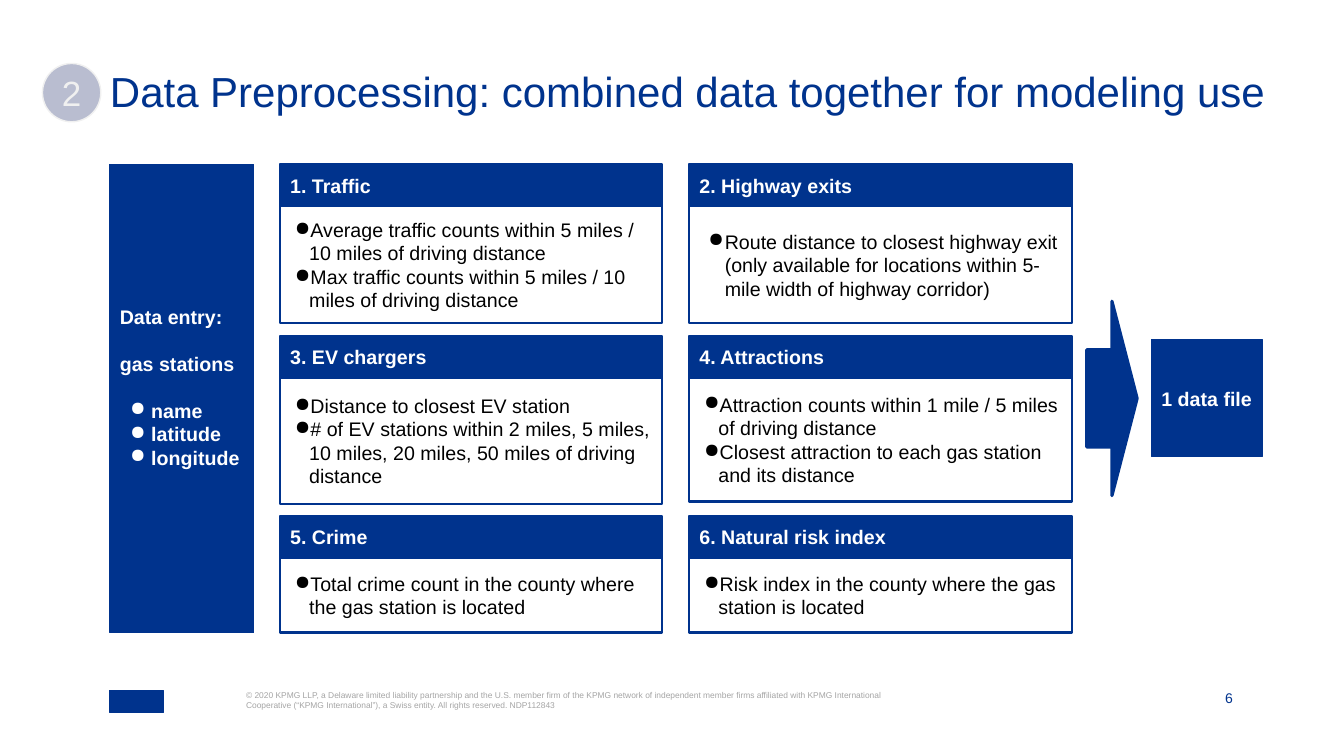
from lxml.etree import SubElement
from pptx import Presentation
from pptx.dml.color import RGBColor
from pptx.enum.shapes import MSO_SHAPE
from pptx.enum.text import MSO_ANCHOR, MSO_AUTO_SIZE, PP_ALIGN
from pptx.oxml.ns import qn
from pptx.util import Cm, Pt

COLORS = {"blue": "00338D", "white": "FFFFFF", "black": "000000",
          "grey": "A5A5A5", "disc": "B9BDD0", "pale": "F0F0F0"}
INSET = 0.25
SIDES = ("left", "top", "right", "bottom")


def rgb(name):
    return RGBColor.from_string(COLORS[name])


def set_values(target, values):
    for name, value in values.items():
        setattr(target, name, value)


class SlideBuilder:
    """Holds the text style and the slide being built."""

    def __init__(self, deck):
        self.slide = deck.slides.add_slide(deck.slide_layouts[5])
        self.font = {"name": "Arial", "size": Pt(14), "bold": False}

    def frame(self, shape, insets, anchor=MSO_ANCHOR.MIDDLE):
        frame = shape.text_frame
        margins = {f"margin_{side}": Cm(inset)
                   for side, inset in zip(SIDES, insets)}
        set_values(frame, {"word_wrap": True, "auto_size": MSO_AUTO_SIZE.NONE,
                           "vertical_anchor": anchor, **margins})
        return frame

    def fill_text(self, frame, lines, color, align=PP_ALIGN.LEFT, bullet=None,
                  first=0, gaps=(), spacing=None, **font):
        """Set the lines; those from index first on get bullets if asked."""
        for i, line in enumerate(lines):
            paragraph = frame.paragraphs[0] if i == 0 else frame.add_paragraph()
            if bullet and i >= first:
                self.add_bullet(paragraph, color, *bullet)
            paragraph.text = line
            before = Pt(16.5) if i in gaps else Pt(0)
            set_values(paragraph, {"alignment": align, "space_before": before,
                                   "line_spacing": spacing})
            set_values(paragraph.font, {**self.font, **font})
            paragraph.font.color.rgb = rgb(color)

    def add_bullet(self, paragraph, color, left, hanging):
        props = paragraph._p.get_or_add_pPr()
        props.set("marL", str(Cm(left)))
        props.set("indent", str(-Cm(hanging)))
        tint = SubElement(props, qn("a:buClr"))
        SubElement(tint, qn("a:srgbClr")).set("val", COLORS[color])
        SubElement(props, qn("a:buChar")).set("char", "●")

    def title(self, text, box):
        title = self.slide.shapes.title
        set_values(title, dict(zip(("left", "top", "width", "height"),
                                   map(Cm, box))))
        self.fill_text(self.frame(title, [0] * 4), [text], "blue",
                       spacing=0.9, size=Pt(30))

    def label(self, text, box, color, anchor, **style):
        label = self.slide.shapes.add_textbox(*map(Cm, box))
        self.fill_text(self.frame(label, [0] * 4, anchor), [text], color,
                       **style)

    def shape(self, kind, box, fill, line, weight, lines=(), color="white",
              bottom=INSET, **style):
        shape = self.slide.shapes.add_shape(kind, *map(Cm, box))
        shape.shadow.inherit = False
        if fill:
            shape.fill.solid()
            shape.fill.fore_color.rgb = rgb(fill)
        else:
            shape.fill.background()
        shape.line.color.rgb = rgb(line)
        shape.line.width = Pt(weight)
        if lines:
            frame = self.frame(shape, [INSET] * 3 + [bottom])
            self.fill_text(frame, lines, color, **style)

    def block(self, box, lines, weight=0.75, **style):
        self.shape(MSO_SHAPE.RECTANGLE, box, "blue", "blue", weight, lines,
                   bold=True, **style)

    def card(self, left, top, body_height, heading, points, bullet=(0.48, 0.36)):
        width, head_height = 9.63, 1.06
        self.shape(MSO_SHAPE.RECTANGLE,
                   (left, top + head_height, width, body_height),
                   None, "blue", 1.5, points, "black", bullet=bullet)
        self.block((left, top, width, head_height), [heading], 1.5)


CARD_LEFTS = (7.06, 17.37)
CARD_TOPS = (4.14, 8.46, 13.0)
CARDS = [
    (2.95, "1. Traffic",
     ["Average traffic counts within 5 miles / 10 miles of driving distance",
      "Max traffic counts within 5 miles / 10 miles of driving distance"]),
    (2.95, "2. Highway exits",
     ["Route distance to closest highway exit (only available for locations "
      "within 5-mile width of highway corridor)"], (0.64, 0.41)),
    (3.18, "3. EV chargers",
     ["Distance to closest EV station",
      "# of EV stations within 2 miles, 5 miles, 10 miles, 20 miles, "
      "50 miles of driving distance"]),
    (3.12, "4. Attractions",
     ["Attraction counts within 1 mile / 5 miles of driving distance",
      "Closest attraction to each gas station and its distance"]),
    (1.88, "5. Crime",
     ["Total crime count in the county where the gas station is located"]),
    (1.88, "6. Natural risk index",
     ["Risk index in the county where the gas station is located"]),
]
COPYRIGHT = (
    "© 2020 KPMG LLP, a Delaware limited liability partnership and the U.S. "
    "member firm of the KPMG network of independent member firms affiliated "
    "with KPMG International Cooperative (“KPMG International”), a Swiss "
    "entity. All rights reserved. NDP112843")


def main():
    deck = Presentation()
    set_values(deck, {"slide_width": Cm(33.86), "slide_height": Cm(19.05)})
    page = SlideBuilder(deck)

    # Title and section number
    page.title("Data Preprocessing: combined data together for modeling use",
               (2.77, 1.63, 30.02, 1.47))
    page.shape(MSO_SHAPE.OVAL, (1.07, 1.6, 1.47, 1.47), "disc", "pale", 1,
               ["2"], "pale", align=PP_ALIGN.CENTER, size=Pt(25))

    # Input data
    page.block((2.77, 4.14, 3.63, 11.81),
               ["Data entry:", "gas stations", "name", "latitude", "longitude"],
               bullet=(0.79, 0.53), first=2, gaps=(1, 2), bottom=INSET + 0.58)

    # Six data sources, two per row
    for i, (body_height, *content) in enumerate(CARDS):
        row, column = divmod(i, 2)
        page.card(CARD_LEFTS[column], CARD_TOPS[row], body_height, *content)

    # Combined result
    page.shape(MSO_SHAPE.RIGHT_ARROW, (27.38, 7.59, 1.27, 4.9),
               "blue", "blue", 2.25)
    page.block((29.01, 8.56, 2.79, 2.95), ["1 data file"])

    # Footer
    page.shape(MSO_SHAPE.RECTANGLE, (2.77, 17.4, 1.35, 0.56),
               "blue", "blue", 0.75)
    page.label(COPYRIGHT, (6.2, 17.4, 16.23, 1.04), "grey", MSO_ANCHOR.TOP,
               size=Pt(6))
    page.label("6", (29.82, 17.4, 1.24, 0.41), "blue", MSO_ANCHOR.BOTTOM,
               align=PP_ALIGN.RIGHT, size=Pt(10))

    deck.save("out.pptx")


if __name__ == "__main__":
    main()
